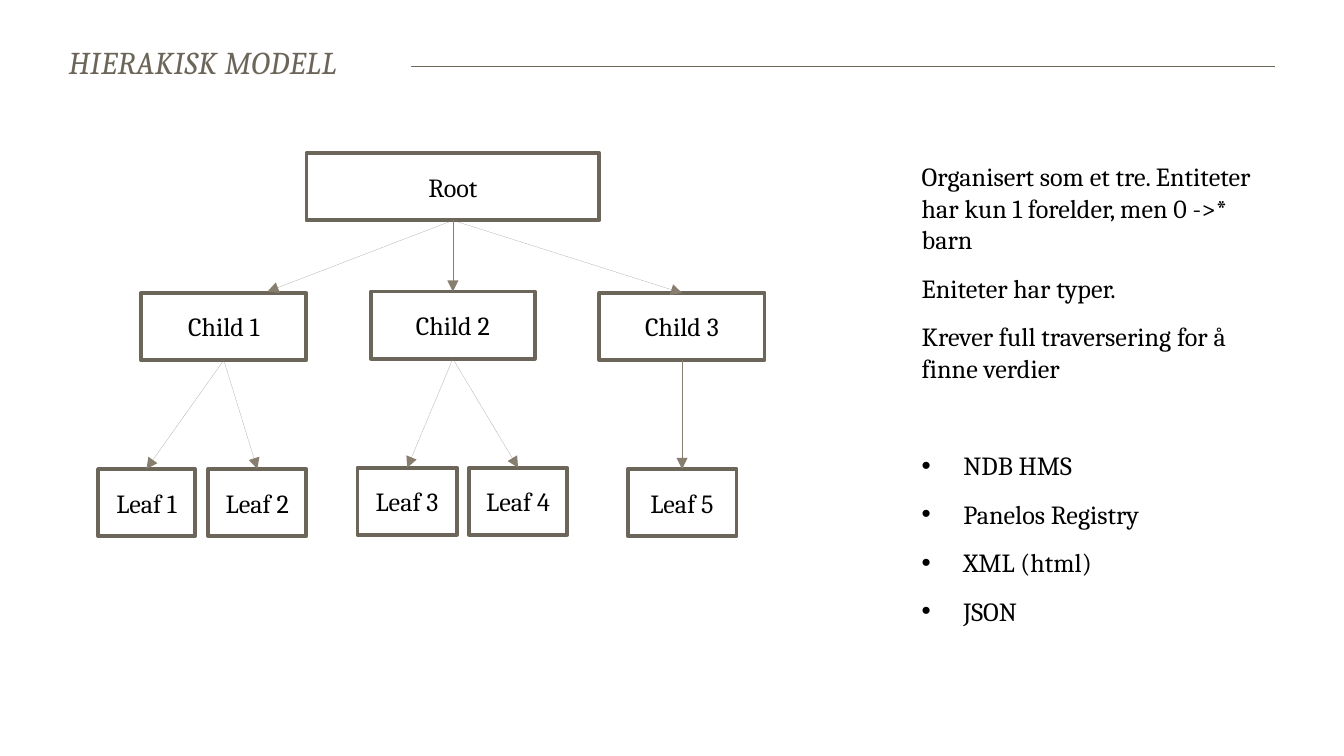
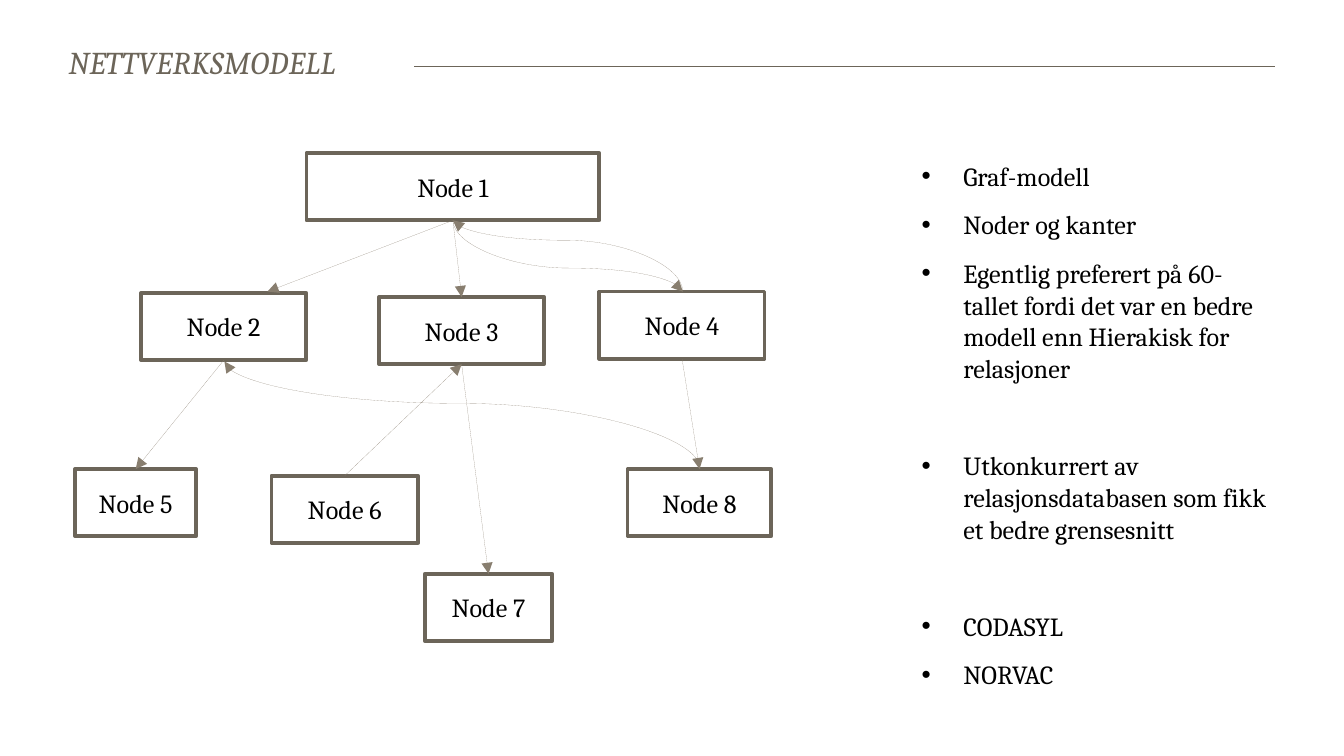
from lxml.etree import SubElement
from pptx import Presentation
from pptx.dml.color import RGBColor
from pptx.enum.shapes import MSO_CONNECTOR, MSO_SHAPE
from pptx.enum.text import MSO_ANCHOR, MSO_AUTO_SIZE, PP_ALIGN
from pptx.oxml.ns import qn
from pptx.util import Inches, Pt

FONT = "Cambria"
BROWN = "6C6559"
ARROW = "887E6F"
BLACK = "000000"
WHITE = "FFFFFF"
NODE_HEIGHT = 0.5
TOP, BOTTOM = 0, 2
LINE_HEIGHT, BEFORE, AFTER = 17, 5, 4

# Nodes are (left, top, width); links are (from, side, to, side), where a
# point instead of a name is a free end; curves are (from, to, bend).
# Text lines are (text, bulleted, starts a new group).
pages = [
    {
        "title": "HIERAKISK MODELL",
        "title_width": 2.65,
        "text": [
            ("Organisert som et tre. Entiteter har kun 1 forelder, men 0 ->* barn", False, False),
            ("Eniteter har typer.", False, False),
            ("Krever full traversering for å finne verdier", False, False),
            ("NDB HMS", True, True),
            ("Panelos Registry", True, False),
            ("XML (html)", True, False),
            ("JSON", True, False),
        ],
        "nodes": {
            "Root": (2.28, 1.14, 2.18),
            "Child 1": (1.05, 2.18, 1.23),
            "Child 2": (2.76, 2.17, 1.22),
            "Child 3": (4.46, 2.18, 1.23),
            "Leaf 1": (0.73, 3.49, 0.72),
            "Leaf 2": (1.55, 3.49, 0.73),
            "Leaf 3": (2.66, 3.48, 0.74),
            "Leaf 4": (3.49, 3.48, 0.73),
            "Leaf 5": (4.67, 3.49, 0.81),
        },
        "links": [
            ("Root", BOTTOM, (1.99, 2.17), None),
            ("Root", BOTTOM, "Child 2", TOP),
            ("Root", BOTTOM, "Child 3", TOP),
            ("Child 2", BOTTOM, "Leaf 3", TOP),
            ("Child 2", BOTTOM, "Leaf 4", TOP),
            ("Child 3", BOTTOM, "Leaf 5", TOP),
            ("Child 1", BOTTOM, "Leaf 2", TOP),
            ("Child 1", BOTTOM, "Leaf 1", TOP),
        ],
        "curves": [],
    },
    {
        "title": "NETTVERKSMODELL",
        "title_width": 2.67,
        "text": [
            ("Graf-modell", True, False),
            ("Noder og kanter", True, False),
            ("Egentlig preferert på 60-tallet fordi det var en bedre modell enn "
             "Hierakisk for relasjoner", True, False),
            ("Utkonkurrert av relasjonsdatabasen som fikk et bedre grensesnitt", True, True),
            ("CODASYL", True, True),
            ("NORVAC", True, False),
        ],
        "nodes": {
            "Node 1": (2.28, 1.14, 2.18),
            "Node 2": (1.05, 2.18, 1.23),
            "Node 3": (2.82, 2.21, 1.23),
            "Node 4": (4.46, 2.17, 1.23),
            "Node 5": (0.56, 3.49, 0.9),
            "Node 6": (2.02, 3.54, 1.09),
            "Node 7": (3.16, 4.27, 0.95),
            "Node 8": (4.67, 3.49, 1.07),
        },
        "links": [
            ("Node 1", BOTTOM, (1.99, 2.17), None),
            ("Node 1", BOTTOM, "Node 3", TOP),
            ("Node 3", BOTTOM, "Node 7", TOP),
            ("Node 4", BOTTOM, "Node 8", TOP),
            ("Node 2", BOTTOM, "Node 5", TOP),
            ("Node 6", TOP, "Node 3", BOTTOM),
        ],
        "curves": [
            ((3.37, 1.64), (5.08, 2.17), 0.67),
            ((5.08, 2.17), (3.37, 1.64), 0.72),
            ((5.21, 3.49), (1.67, 2.69), 0.61),
        ],
    },
]


def style_font(font, size, color):
    font.name = FONT
    font.size = Pt(size)
    font.color.rgb = RGBColor.from_string(color)


def add_line(page, kind, begin, end, color, width, arrow=True):
    line = page.shapes.add_connector(kind, *map(Inches, (*begin, *end)))
    line.line.color.rgb = RGBColor.from_string(color)
    line.line.width = Pt(width)
    if arrow:
        SubElement(line.line._get_or_add_ln(), qn("a:tailEnd"), type="triangle")
    SubElement(line.element.spPr, qn("a:effectLst"))
    return line


# Widescreen deck, 16:9
deck = Presentation()
deck.slide_width = Inches(10)
deck.slide_height = deck.slide_width * 9 // 16

for content in pages:
    page = deck.slides.add_slide(deck.slide_layouts[5])

    # Title, covering the left end of the rule behind it
    title = page.shapes.title
    title.left, title.top = Inches(0.41), Inches(0.32)
    title.width, title.height = Inches(content["title_width"]), Inches(0.29)
    title.fill.solid()
    title.fill.fore_color.rgb = RGBColor.from_string(WHITE)
    frame = title.text_frame
    frame.text = content["title"]
    frame.margin_top = frame.margin_bottom = 0
    frame.vertical_anchor = MSO_ANCHOR.TOP
    frame.word_wrap = False
    frame.auto_size = MSO_AUTO_SIZE.SHAPE_TO_FIT_TEXT
    frame.paragraphs[0].alignment = PP_ALIGN.LEFT
    span = frame.paragraphs[0].runs[0]
    style_font(span.font, 17, BROWN)
    span.font.italic = True
    span.font._element.set("spc", "20")
    rule = add_line(page, MSO_CONNECTOR.STRAIGHT, (0.53, 0.49), (9.49, 0.49),
                    BROWN, 0.2, arrow=False)
    title.element.addprevious(rule.element)

    # Text column
    column = page.shapes.add_textbox(Inches(6.76), Inches(1.14), Inches(2.8), Inches(4.33))
    frame = column.text_frame
    frame.word_wrap = True
    for index, (text, bulleted, new_group) in enumerate(content["text"]):
        para = frame.add_paragraph() if index else frame.paragraphs[0]
        para.text = text
        para.line_spacing = Pt(LINE_HEIGHT)
        para.space_after = Pt(AFTER)
        if index:
            gap = LINE_HEIGHT + BEFORE + AFTER if new_group else 0
            para.space_before = Pt(BEFORE + gap)
        if bulleted:
            properties = para._p.get_or_add_pPr()
            properties.set("marL", str(Inches(0.31)))
            properties.set("indent", str(-Inches(0.31)))
            SubElement(properties, qn("a:buFont"), typeface="Arial")
            SubElement(properties, qn("a:buChar"), char="•")
        style_font(para.runs[0].font, 14, BLACK)

    # Nodes
    boxes = {}
    for name, (left, top, width) in content["nodes"].items():
        box = page.shapes.add_shape(MSO_SHAPE.RECTANGLE, Inches(left), Inches(top),
                                    Inches(width), Inches(NODE_HEIGHT))
        box.shadow.inherit = False
        box.fill.solid()
        box.fill.fore_color.rgb = RGBColor.from_string(WHITE)
        box.line.color.rgb = RGBColor.from_string(BROWN)
        box.line.width = Pt(2)
        box.text_frame.text = name
        box.text_frame.vertical_anchor = MSO_ANCHOR.MIDDLE
        para = box.text_frame.paragraphs[0]
        para.alignment = PP_ALIGN.CENTER
        style_font(para.runs[0].font, 14, BLACK)
        boxes[name] = box

    # Straight arrows
    for start, start_side, target, target_side in content["links"]:
        free_end = (0, 0) if target in boxes else target
        arrow = add_line(page, MSO_CONNECTOR.STRAIGHT, (0, 0), free_end, ARROW, 0.05)
        arrow.begin_connect(boxes[start], start_side)
        if target in boxes:
            arrow.end_connect(boxes[target], target_side)

    # Curved arrows, turned a quarter so that they leave and arrive vertically
    for (begin_x, begin_y), (end_x, end_y), bend in content["curves"]:
        center_x, center_y = (begin_x + end_x) / 2, (begin_y + end_y) / 2
        half_width, half_height = (end_x - begin_x) / 2, (end_y - begin_y) / 2
        curve = add_line(page, MSO_CONNECTOR.CURVE,
                         (center_x + half_height, center_y - half_width),
                         (center_x - half_height, center_y + half_width), ARROW, 0.05)
        properties = curve.element.spPr
        properties.find(qn("a:xfrm")).set("rot", str(270 * 60000))
        geometry = properties.find(qn("a:prstGeom"))
        adjustments = geometry.find(qn("a:avLst"))
        if adjustments is None:
            adjustments = SubElement(geometry, qn("a:avLst"))
        SubElement(adjustments, qn("a:gd"), name="adj1", fmla=f"val {round(bend * 100000)}")

deck.save("out.pptx")
